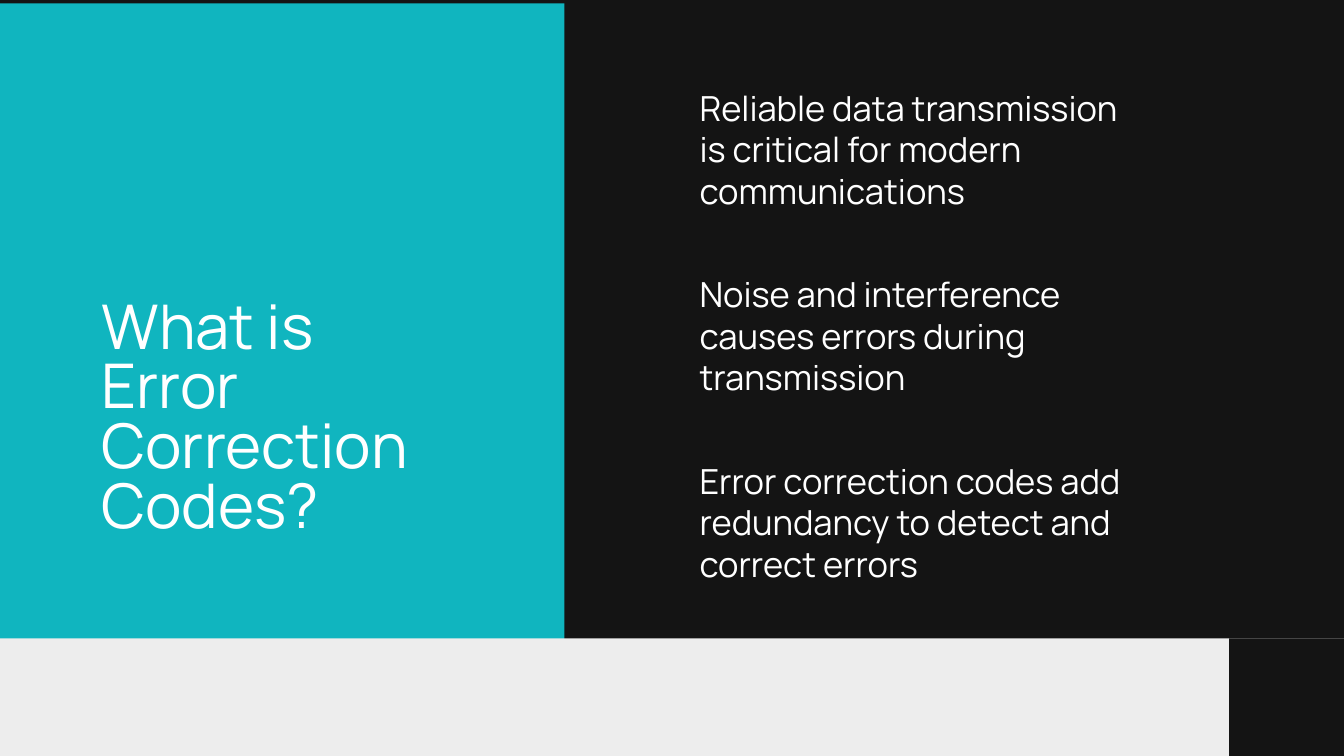
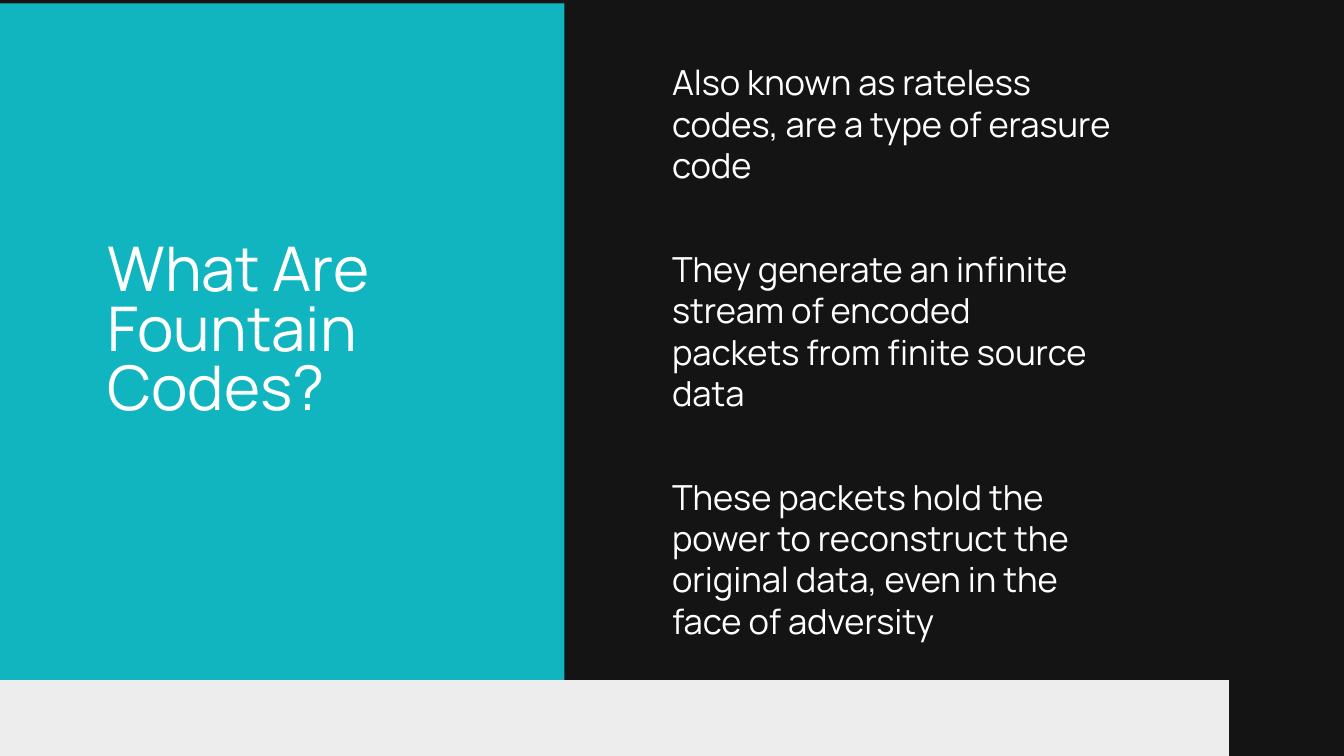
from pptx import Presentation
from pptx.dml.color import RGBColor
from pptx.enum.shapes import MSO_SHAPE
from pptx.enum.text import MSO_ANCHOR, MSO_AUTO_SIZE, PP_ALIGN
from pptx.oxml.ns import qn
from pptx.util import Inches, Pt
from lxml.etree import SubElement

WIDE, HIGH = 20, 11.25
DARK, TEAL, PALE, WHITE = "141414", "10B5BF", "EDEDED", "FFFFFF"
FONT = "Manrope"
HEAD = (66, 64)  # size and line pitch in points
BODY = (37, 44.4)
GAP = 1.5  # body lines between two points
WIDTHS = (6.56, 6.35, 6.56)
CORNER = (18.29, 9.5)

# Title and points carry their number of lines.
SLIDES = [
    dict(
        title=("What is Error Correction Codes?", 4), head=(1.51, 4.49),
        body=(10.41, 1.29), band=9.5,
        points=[
            ("Reliable data transmission is critical for modern communications", 3),
            ("Noise and interference causes errors during transmission", 3),
            ("Error correction codes add redundancy to detect and correct errors", 3),
        ],
    ),
    dict(
        title=("What Are Fountain Codes?", 3), head=(1.6, 3.63),
        body=(10, 0.91), band=10.12,
        points=[
            ("Also known as rateless codes, are a type of erasure code", 3),
            ("They generate an infinite stream of encoded packets from finite source data", 4),
            ("These packets hold the power to reconstruct the original data, "
             "even in the face of adversity", 4),
        ],
    ),
]


def color(code):
    return RGBColor.from_string(code)


def block(slide, depth, left, top, right, fill):
    """Add a plain rectangle down to the slide's foot, behind the text."""
    box = slide.shapes.add_shape(
        MSO_SHAPE.RECTANGLE, Inches(left), Inches(top),
        Inches(right - left), Inches(HIGH - top))
    box.shadow.inherit = False
    box.fill.solid()
    box.fill.fore_color.rgb = color(fill)
    box.line.fill.background()
    node = box._element
    node.getparent().insert(2 + depth, node)


def write(holder, text, lines, left, top, width, style):
    """Place and format a placeholder; return its height in inches."""
    size, pitch = style
    tall = lines * pitch / 72
    holder.left, holder.top = Inches(left), Inches(top)
    holder.width, holder.height = Inches(width), Inches(tall)
    frame = holder.text_frame
    frame.text = text
    frame.word_wrap = True
    frame.auto_size = MSO_AUTO_SIZE.NONE
    frame.vertical_anchor = MSO_ANCHOR.TOP
    frame.margin_left = frame.margin_right = 0
    frame.margin_top = frame.margin_bottom = 0
    para = frame.paragraphs[0]
    para.alignment = PP_ALIGN.LEFT
    para.line_spacing = Pt(pitch)
    para.space_before = para.space_after = Pt(0)
    props = para._p.get_or_add_pPr()
    props.set("marL", "0")
    props.set("indent", "0")
    SubElement(props, qn("a:buNone"))
    font = para.font
    font.name, font.size, font.bold = FONT, Pt(size), False
    font.color.rgb = color(WHITE)
    return tall


def build(deck, data):
    slide = deck.slides.add_slide(deck.slide_layouts.get_by_name("Comparison"))
    back = slide.background.fill
    back.solid()
    back.fore_color.rgb = color(DARK)

    parts = [(0, 0.05, 8.4, TEAL), (0, data["band"], WIDE, PALE),
             (*CORNER, WIDE, DARK)]
    for depth, part in enumerate(parts):
        block(slide, depth, *part)

    write(slide.shapes.title, *data["title"], *data["head"], 5.21, HEAD)
    holders = [h for h in slide.placeholders if 1 <= h.placeholder_format.idx <= 4]
    left, top = data["body"]
    for holder, (text, lines), width in zip(holders, data["points"], WIDTHS):
        top += write(holder, text, lines, left, top, width, BODY)
        top += GAP * BODY[1] / 72
    for spare in holders[len(data["points"]):]:
        node = spare._element
        node.getparent().remove(node)


def main():
    deck = Presentation()
    deck.slide_width, deck.slide_height = Inches(WIDE), Inches(HIGH)
    for data in SLIDES:
        build(deck, data)
    deck.save("out.pptx")


if __name__ == "__main__":
    main()
